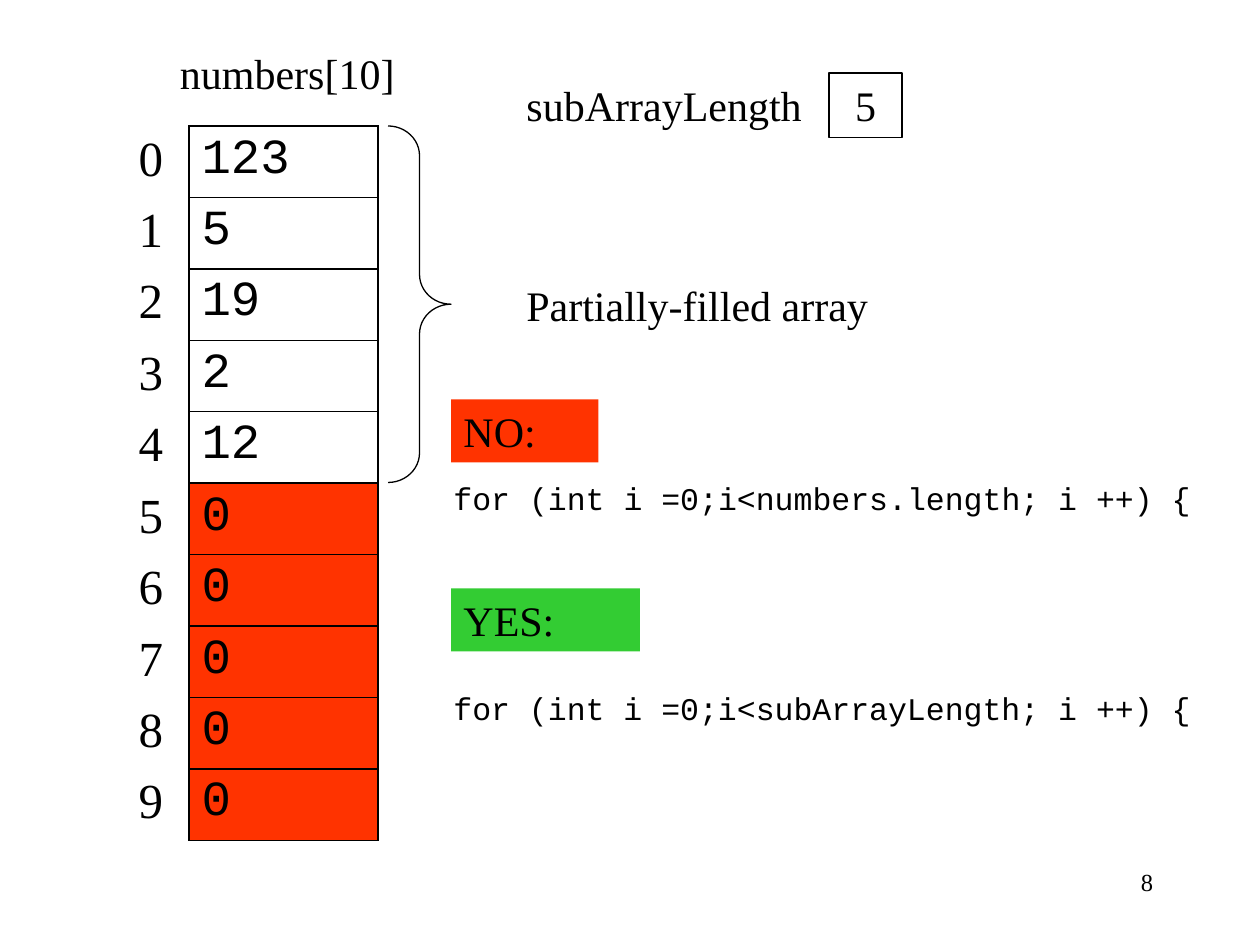
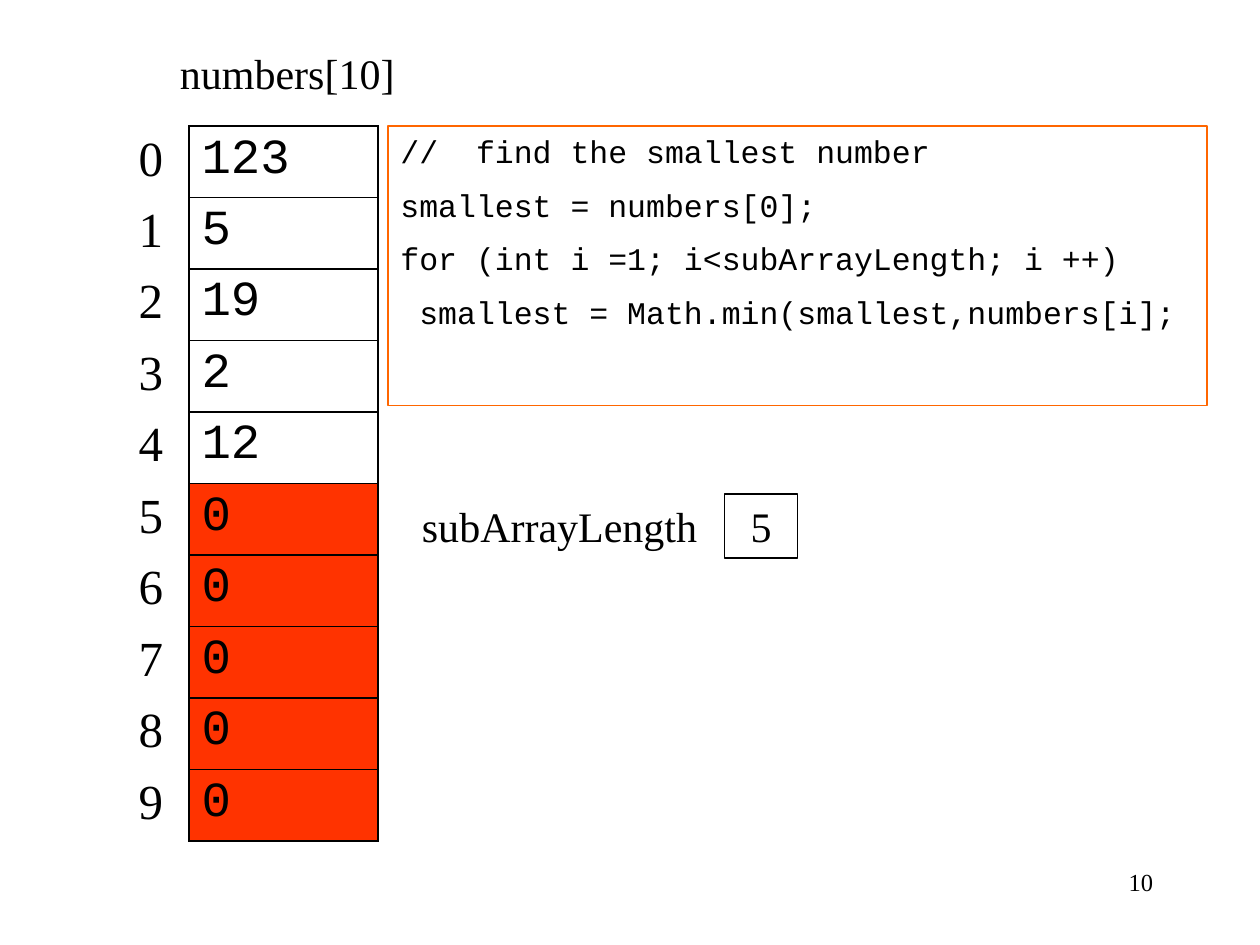
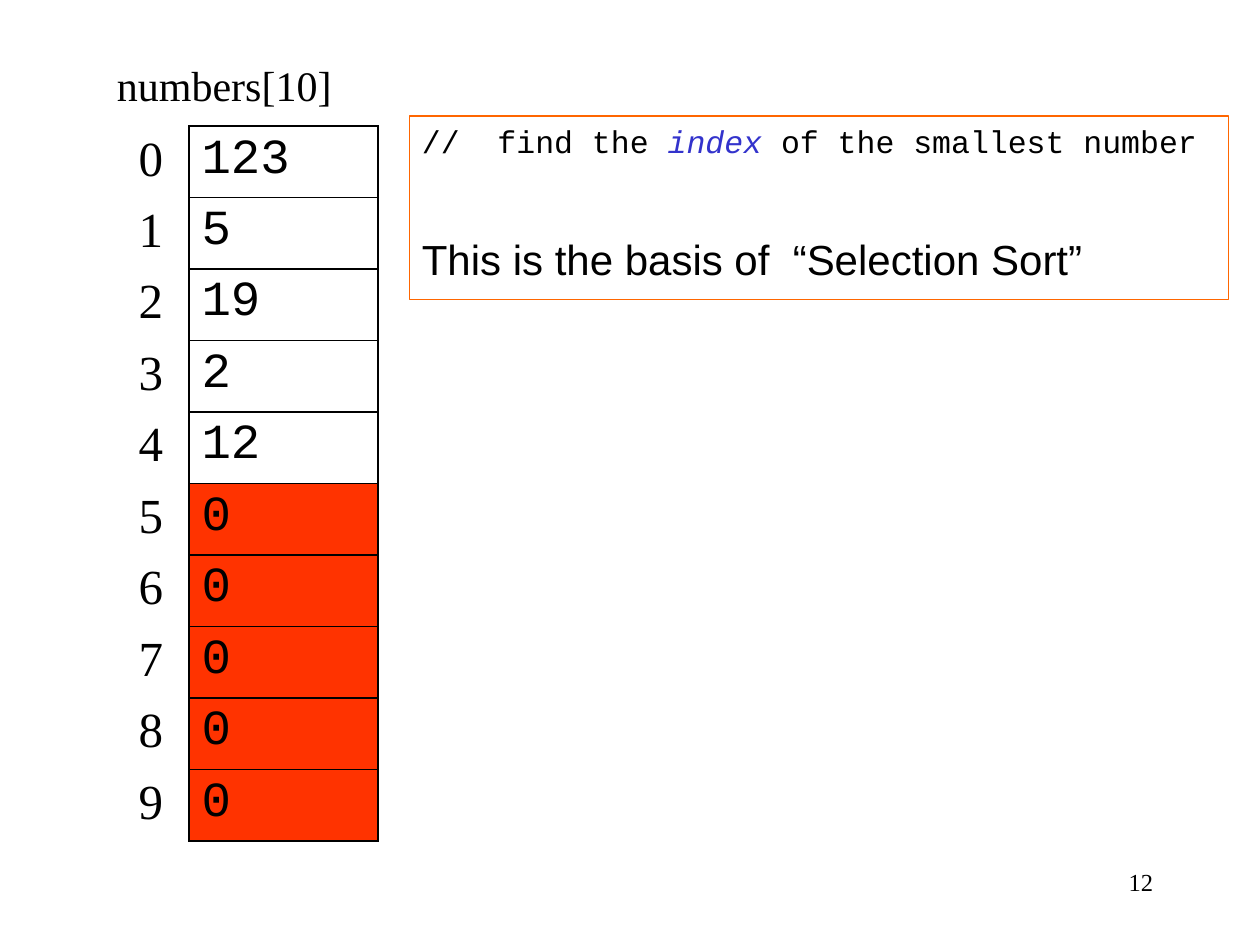
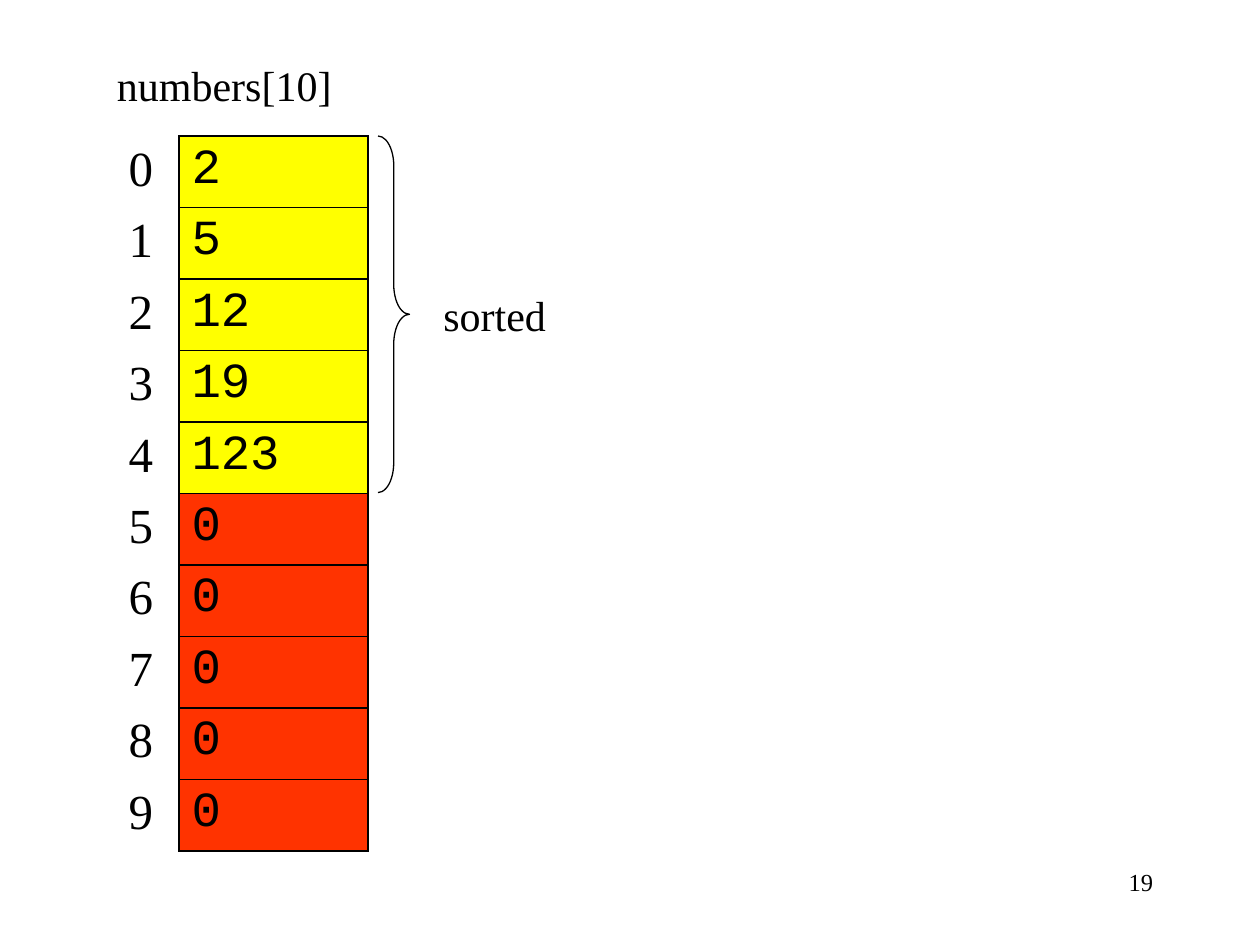
from lxml.etree import SubElement
from pptx import Presentation
from pptx.dml.color import RGBColor
from pptx.enum.shapes import MSO_SHAPE
from pptx.enum.text import MSO_ANCHOR, PP_ALIGN
from pptx.oxml.ns import qn
from pptx.util import Inches, Pt

BLACK, RED, GREEN, YELLOW = "000000", "FF3300", "33CC33", "FFFF00"
ORANGE, BLUE = "FF6600", "3333CC"
SERIF, SANS, MONO = "Times New Roman", "Arial", "Courier New"
ROW_COUNT = 10
FILLED_COUNT = 5
ARRAY_HEIGHT = 5.67


def write(paragraph, text, size=24, font=SERIF, color=BLACK, italic=False,
          align=PP_ALIGN.LEFT, before=None):
    """Add a formatted run; before is the space above in percent of a line."""
    paragraph.alignment = align
    if before:
        spacing = SubElement(paragraph._p.get_or_add_pPr(), qn("a:spcBef"))
        SubElement(spacing, qn("a:spcPct"), val=str(before * 1000))
    run = paragraph.add_run()
    run.text = text
    run.font.size = Pt(size)
    run.font.name = font
    run.font.italic = italic
    run.font.color.rgb = RGBColor.from_string(color)


def add_box(slide, left, top, width, height, text="", fill=None, line=None, **text_format):
    """Add a text box, or a rectangle if it has a fill or a line."""
    place = [Inches(length) for length in (left, top, width, height)]
    if fill or line:
        shape = slide.shapes.add_shape(MSO_SHAPE.RECTANGLE, *place)
        shape.shadow.inherit = False
        if fill:
            shape.fill.solid()
            shape.fill.fore_color.rgb = RGBColor.from_string(fill)
        else:
            shape.fill.background()
        if line:
            shape.line.color.rgb = RGBColor.from_string(line)
            shape.line.width = Pt(0.75)
        else:
            shape.line.fill.background()
    else:
        shape = slide.shapes.add_textbox(*place)
    frame = shape.text_frame
    frame.word_wrap = True
    frame.vertical_anchor = MSO_ANCHOR.TOP
    if text:
        write(frame.paragraphs[0], text, **{"before": 50, **text_format})
    return frame


presentation = Presentation()
presentation.slide_width = Inches(10)
presentation.slide_height = Inches(7.5)

unsorted_values = [123, 5, 19, 2, 12]
sorted_values = sorted(unsorted_values)

# Number, values, fill of the used cells, table corner, heading corner, brace width
pages = [
    ("8", unsorted_values, None, (1, 1), (1.33, 0.33), 0.5),
    ("10", unsorted_values, None, (1, 1), (1.33, 0.33), None),
    ("12", unsorted_values, None, (1, 1), (0.83, 0.42), None),
    ("19", sorted_values, YELLOW, (0.92, 1.08), (0.83, 0.42), 0.25),
]

# Array, heading, brace and page number of every slide
slides = []
for number, values, used_fill, (left, top), heading_corner, brace_width in pages:
    slide = presentation.slides.add_slide(presentation.slide_layouts[6])
    slides.append(slide)

    table = slide.shapes.add_table(ROW_COUNT, 2, Inches(left), Inches(top),
                                   Inches(2), Inches(ARRAY_HEIGHT)).table
    table.first_row = False
    table.horz_banding = False
    table.columns[0].width = Inches(0.5)
    table.columns[1].width = Inches(1.5)
    cell_values = values + [0] * (ROW_COUNT - FILLED_COUNT)
    for index, value in enumerate(cell_values):
        table.rows[index].height = Inches(ARRAY_HEIGHT / ROW_COUNT)
        index_cell, value_cell = table.cell(index, 0), table.cell(index, 1)
        write(index_cell.text_frame.paragraphs[0], str(index), size=28, before=20)
        write(value_cell.text_frame.paragraphs[0], str(value), size=28, font=MONO, before=20)

        # Cell borders, which come before the fill in the cell properties
        edges = [(value_cell, edge) for edge in ("a:lnL", "a:lnR", "a:lnT", "a:lnB")]
        for cell, edge in [(index_cell, "a:lnR")] + edges:
            border = SubElement(cell._tc.get_or_add_tcPr(), qn(edge), w=str(Pt(1)))
            border_fill = SubElement(border, qn("a:solidFill"))
            SubElement(border_fill, qn("a:srgbClr"), val=BLACK)

        index_cell.fill.background()
        value_fill = used_fill if index < FILLED_COUNT else RED
        if value_fill:
            value_cell.fill.solid()
            value_cell.fill.fore_color.rgb = RGBColor.from_string(value_fill)
        else:
            value_cell.fill.background()

    add_box(slide, *heading_corner, 2.17, 0.5, "numbers[10]")

    if brace_width:
        brace = slide.shapes.add_shape(
            MSO_SHAPE.RIGHT_BRACE, Inches(left + 2.08), Inches(top),
            Inches(brace_width), Inches(2.83))
        brace.adjustments[0] = 0.236 / brace_width
        brace.adjustments[1] = 0.5
        brace.shadow.inherit = False
        brace.fill.background()
        brace.line.color.rgb = RGBColor.from_string(BLACK)
        brace.line.width = Pt(0.75)

    add_box(slide, 7.17, 6.83, 2.08, 0.5, number, size=14, align=PP_ALIGN.RIGHT, before=None)

partial_slide, smallest_slide, index_slide, sorted_slide = slides

# Length variable beside the array
for slide, left, top in [(partial_slide, 4.08, 0.58), (smallest_slide, 3.25, 3.92)]:
    add_box(slide, left, top, 2.58, 0.5, "subArrayLength")
    add_box(slide, left + 2.5, top, 0.58, 0.51, "5", line=BLACK, align=PP_ALIGN.CENTER)

# Partially filled array: wrong and right loop
add_box(partial_slide, 4.08, 2.17, 3.17, 0.5, "Partially-filled array")
add_box(partial_slide, 3.58, 3.17, 1.17, 0.5, "NO:", fill=RED)
add_box(partial_slide, 3.5, 3.75, 6.08, 0.4,
        "for (int i =0;i<numbers.length; i ++) {", size=18, font=MONO)
add_box(partial_slide, 3.58, 4.67, 1.5, 0.5, "YES:", fill=GREEN)
add_box(partial_slide, 3.5, 5.42, 6.17, 0.4,
        "for (int i =0;i<subArrayLength; i ++) {", size=18, font=MONO)

# Code that finds the smallest number
code = add_box(smallest_slide, 3.08, 1, 6.5, 2.22, "//  find the smallest number",
               line=ORANGE, size=18, font=MONO)
for code_line in ["smallest = numbers[0];",
                  "for (int i =1; i<subArrayLength; i ++)",
                  " smallest = Math.min(smallest,numbers[i];"]:
    write(code.add_paragraph(), code_line, size=18, font=MONO, before=50)

# Index of the smallest number
note = add_box(index_slide, 3.25, 0.92, 6.5, 1.46, "//  find the ",
               line=ORANGE, size=18, font=MONO)
comment = note.paragraphs[0]
write(comment, "index", size=18, font=MONO, color=BLUE, italic=True)
write(comment, " of the smallest number", size=18, font=MONO)
comment.space_after = Pt(30)
write(note.add_paragraph(), "This is the basis of  “Selection Sort”", font=SANS, before=50)

# Sorted part
add_box(sorted_slide, 3.42, 2.25, 1.17, 0.5, "sorted")

presentation.save("out.pptx")
